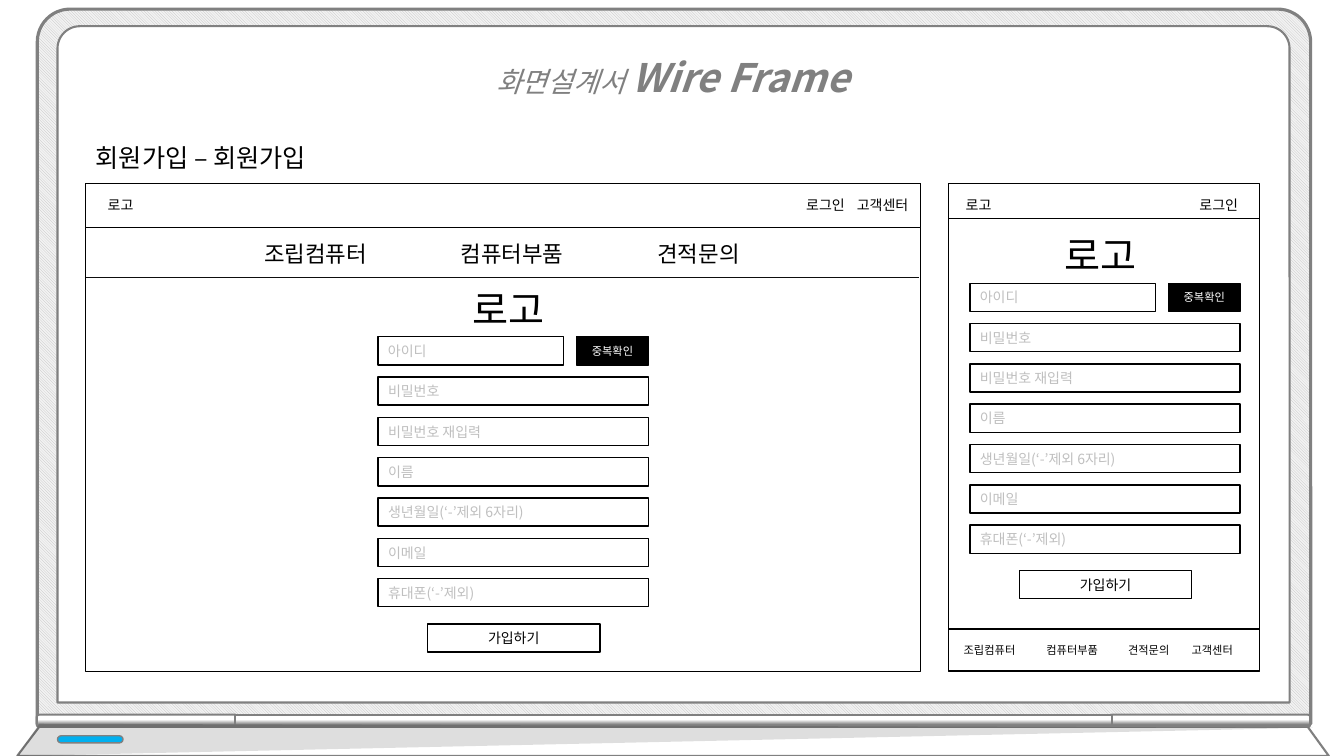
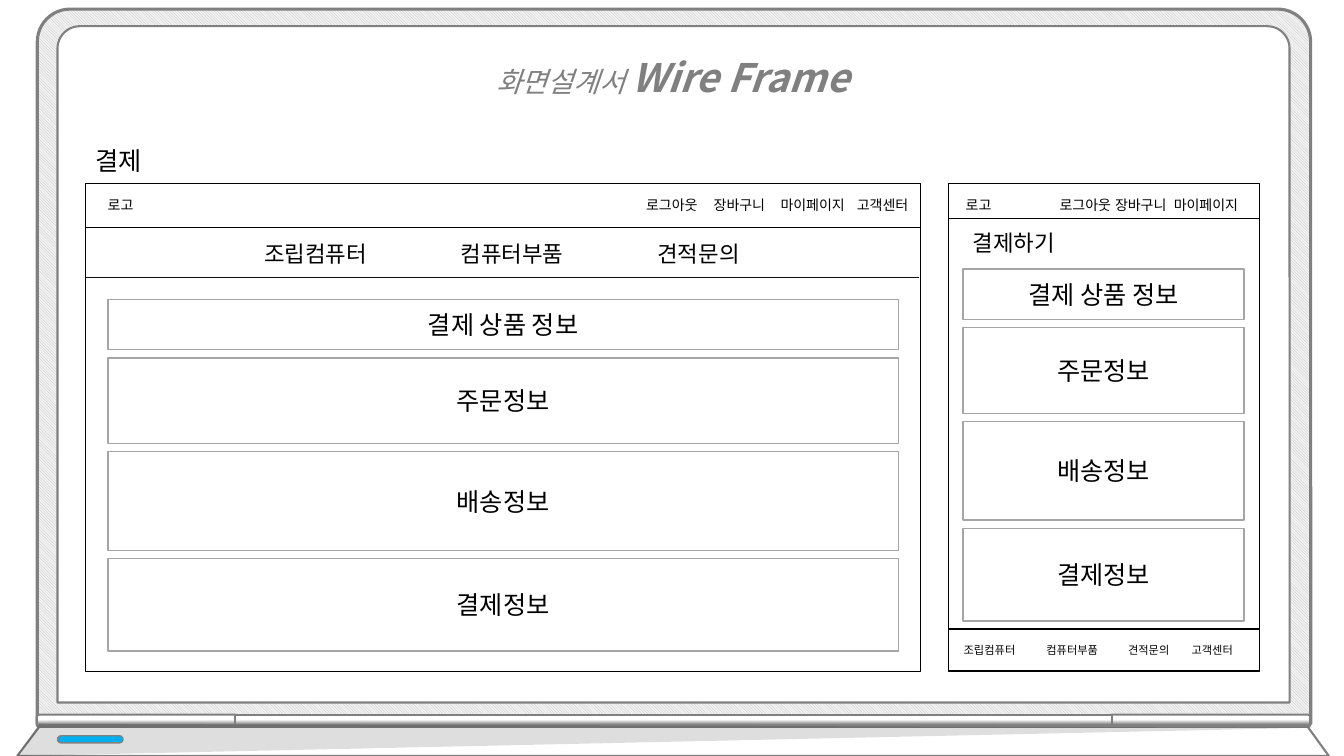
import pptx
import pptx.util
import pptx.dml.color
import pptx.enum.dml
import pptx.enum.shapes
import pptx.enum.text
import pptx.oxml.ns
from dataclasses import dataclass
from lxml import etree

Inches = pptx.util.Inches
SHAPE = pptx.enum.shapes.MSO_SHAPE
ALIGN = pptx.enum.text.PP_ALIGN
ANCHOR = pptx.enum.text.MSO_ANCHOR
AUTO_SIZE = pptx.enum.text.MSO_AUTO_SIZE
qn = pptx.oxml.ns.qn


@dataclass(frozen=True)
class Theme:
    font: str = "Noto Sans CJK KR"
    black: str = "000000"
    white: str = "FFFFFF"
    rule: str = "0D0D0D"
    frame: str = "808080"
    hint: str = "BFBFBF"
    bezel: str = "F2F2F2"
    section: str = "A5A5A5"
    power: str = "00B0F0"
    tiny: int = 8
    small: int = 10
    menu: int = 16
    heading: int = 18
    subtitle: int = 20
    display: int = 28


THEME = Theme()
MENU = ["조립컴퓨터", "컴퓨터부품", "견적문의"]
FIELDS = ["아이디", "비밀번호", "비밀번호 재입력", "이름",
          "생년월일(‘-’제외 6자리)", "이메일", "휴대폰(‘-’제외)"]
SECTIONS = [("결제 상품 정보", 0.5), ("주문정보", 0.85),
            ("배송정보", 0.98), ("결제정보", 0.92)]
DESKTOP_LEFT, DESKTOP_WIDTH = 0.85, 8.28
MOBILE_LEFT, MOBILE_WIDTH = 9.41, 3.08
SCREEN_TOP, SCREEN_HEIGHT = 1.82, 4.84


# Basic elements
def rgb(color):
    return pptx.dml.color.RGBColor.from_string(color)


def set_font(font, size, color):
    font.size = pptx.util.Pt(size)
    font.color.rgb = rgb(color)
    font.name = THEME.font
    etree.SubElement(font._element, qn("a:ea"), typeface=THEME.font)


def write(frame, text, size, color=THEME.black, align=ALIGN.LEFT,
          anchor=ANCHOR.MIDDLE):
    frame.word_wrap = True
    frame.vertical_anchor = anchor
    paragraph = frame.paragraphs[0]
    paragraph.text = text
    paragraph.alignment = align
    set_font(paragraph.font, size, color)


def outline(shape, color, width):
    shape.shadow.inherit = False
    shape.line.color.rgb = rgb(color)
    shape.line.width = pptx.util.Pt(width)


def solid(shape, color):
    shape.fill.solid()
    shape.fill.fore_color.rgb = rgb(color)


def add_shape(shapes, kind, at, fill=THEME.white, line=THEME.black, width=1,
              adjust=()):
    shape = shapes.add_shape(kind, *map(Inches, at))
    solid(shape, fill)
    outline(shape, line, width)
    for index, value in enumerate(adjust):
        shape.adjustments[index] = value
    return shape


def add_box(slide, at, text="", size=THEME.small, color=THEME.black,
            align=ALIGN.CENTER, **look):
    box = add_shape(slide.shapes, SHAPE.RECTANGLE, at, **look)
    if text:
        write(box.text_frame, text, size, color, align)


def add_label(slide, at, text, size, anchor=ANCHOR.TOP):
    label = slide.shapes.add_textbox(*map(Inches, at))
    write(label.text_frame, text, size, anchor=anchor)


def add_tabbed(slide, at, items, stops, kind, size):
    """Set each item at its own tab stop; stops are slide positions."""
    row = slide.shapes.add_textbox(*map(Inches, at))
    frame = row.text_frame
    frame.margin_right = 0
    tabs = etree.SubElement(frame.paragraphs[0]._p.get_or_add_pPr(),
                            qn("a:tabLst"))
    for stop in stops:
        offset = Inches(stop - at[0]) - frame.margin_left
        etree.SubElement(tabs, qn("a:tab"), pos=str(offset), algn=kind)
    write(frame, "".join("\t" + item for item in items), size,
          anchor=ANCHOR.TOP)


def add_rule(slide, left, right, y, color):
    rule = slide.shapes.add_connector(
        pptx.enum.shapes.MSO_CONNECTOR.STRAIGHT,
        Inches(left), Inches(y), Inches(right), Inches(y))
    rule.line.color.rgb = rgb(color)
    rule.line.width = pptx.util.Pt(0.5)
    etree.SubElement(rule.element.spPr, qn("a:effectLst"))


def add_outline(shapes, points):
    start, *rest = [tuple(map(Inches, point)) for point in points]
    builder = shapes.build_freeform(*start)
    builder.add_line_segments(rest, close=True)
    return builder.convert_to_shape()


# Laptop frame and heading shared by all slides
def add_laptop(slide):
    parts = slide.shapes.add_group_shape().shapes
    rounded = SHAPE.ROUND_2_SAME_RECTANGLE
    bezel = add_shape(parts, rounded, (0.37, 0.09, 12.63, 7.09),
                      line=THEME.frame, width=2.25, adjust=(0.046, 0))
    bezel.fill.patterned()
    bezel.fill.pattern = pptx.enum.dml.MSO_PATTERN.LIGHT_DOWNWARD_DIAGONAL
    bezel.fill.fore_color.rgb = rgb(THEME.hint)
    bezel.fill.back_color.rgb = rgb(THEME.bezel)
    add_shape(parts, rounded, (0.57, 0.26, 12.22, 6.71),
              line=THEME.frame, width=1.5, adjust=(0.033, 0))

    # Hinge strip: upright bars turned on their side
    thickness, middle = 0.12, 7.15
    for center, length, corners in [(1.35, 1.97, (0.19, 0)),
                                    (12.01, 1.97, (0, 0.19)),
                                    (6.68, 8.7, (0, 0))]:
        hinge = add_shape(parts, rounded,
                          (center - thickness / 2, middle - length / 2,
                           thickness, length),
                          line=THEME.frame, width=1.5, adjust=corners)
        hinge.rotation = 270
        hinge.fill.gradient()
        hinge.fill.gradient_angle = 0
        for stop, position, color in zip(hinge.fill.gradient_stops,
                                         (0.17, 0.59),
                                         (THEME.frame, THEME.white)):
            stop.position = position
            stop.color.rgb = rgb(color)

    # Base, its shade and the power light
    base = add_outline(parts, [(0.39, 7.21), (12.97, 7.21),
                               (13.18, 7.5), (0.17, 7.5)])
    solid(base, THEME.white)
    outline(base, THEME.frame, 1.5)
    shade = add_outline(parts, [(0.39, 7.18), (0.17, 7.5), (13.02, 7.22)])
    solid(shade, THEME.black)
    shade.shadow.inherit = False
    shade.line.fill.background()
    color = shade.element.spPr.find(qn("a:solidFill"))[0]
    etree.SubElement(color, qn("a:alpha"), val="13000")
    add_shape(parts, SHAPE.ROUNDED_RECTANGLE, (0.57, 7.3, 0.65, 0.07),
              fill=THEME.power, line=THEME.frame, adjust=(0.5,))


def add_banner(slide):
    banner = slide.shapes.add_textbox(*map(Inches, (3.67, 0.25, 6, 0.81)))
    write(banner.text_frame, "", THEME.subtitle, THEME.frame, ALIGN.CENTER,
          ANCHOR.TOP)
    paragraph = banner.text_frame.paragraphs[0]
    paragraph.line_spacing = 1.5
    paragraph.font.italic = True
    paragraph.add_run().text = "화면설계서 "
    name = paragraph.add_run()
    name.text = "Wire Frame"
    name.font.size = pptx.util.Pt(THEME.display)
    name.font.bold = True


def new_slide(deck, title_text, title_top):
    slide = deck.slides.add_slide(deck.slide_layouts[5])
    add_laptop(slide)
    add_banner(slide)
    title = slide.shapes.title
    title.left, title.top, title.width, title.height = map(
        Inches, (DESKTOP_LEFT, title_top, DESKTOP_WIDTH, 0.4))
    write(title.text_frame, title_text, THEME.heading)
    title.text_frame.auto_size = AUTO_SIZE.NONE
    slide.shapes.element.append(title.element)  # in front of the laptop
    return slide


# Desktop and mobile screens
def add_desktop(slide, links, link_stops):
    for height in (SCREEN_HEIGHT, 0.44):
        add_box(slide, (DESKTOP_LEFT, SCREEN_TOP, DESKTOP_WIDTH, height))
    add_label(slide, (0.97, 1.9, 2.41, 0.27), "로고", THEME.small)
    add_tabbed(slide, (6.01, 1.9, 3.1, 0.27), links, link_stops, "r",
               THEME.small)
    add_tabbed(slide, (DESKTOP_LEFT, 2.33, DESKTOP_WIDTH, 0.37), MENU,
               (3.13, 5.08, 6.93), "ctr", THEME.menu)
    add_rule(slide, DESKTOP_LEFT, 9.11, 2.75, THEME.rule)


def add_mobile(slide, links, link_stops):
    add_box(slide, (MOBILE_LEFT, SCREEN_TOP, MOBILE_WIDTH, SCREEN_HEIGHT))
    add_label(slide, (9.48, 1.9, 0.6, 0.27), "로고", THEME.small)
    add_tabbed(slide, (10.07, 1.9, 2.31, 0.27), links, link_stops, "r",
               THEME.small)
    add_rule(slide, MOBILE_LEFT, MOBILE_LEFT + MOBILE_WIDTH, 2.17,
             THEME.black)
    add_box(slide, (MOBILE_LEFT, 6.24, MOBILE_WIDTH, 0.41))
    for left, item in zip((9.46, 10.28, 11.09, 11.72), MENU + ["고객센터"]):
        add_label(slide, (left, 6.33, 0.8, 0.24), item, THEME.tiny)


# Screen contents
def add_signup_form(slide, left, top):
    height, step = 0.28, 0.4
    add_label(slide, (left + 0.84, top - 0.56, 1.01, 0.57), "로고",
              THEME.display)
    for row, hint in enumerate(FIELDS):
        width = 2.68 if row else 1.84  # the first leaves room for a button
        add_box(slide, (left, top + row * step, width, height), hint,
                color=THEME.hint, align=ALIGN.LEFT)
    add_box(slide, (left + 1.97, top, 0.71, height), "중복확인", THEME.tiny,
            THEME.white, fill=THEME.black)
    add_box(slide, (left + 0.49, top + 2.85, 1.71, height), "가입하기")


def add_payment_sections(slide, left, top, width):
    gap = 0.08
    for name, height in SECTIONS:
        add_box(slide, (left, top, width, height), name, THEME.heading,
                line=THEME.section)
        top += height + gap


# Slides
def add_signup_slide(deck):
    slide = new_slide(deck, "회원가입 – 회원가입", 1.36)
    add_desktop(slide, ["로그인", "고객센터"], (8.38, 9.01))
    add_signup_form(slide, 3.75, 3.34)
    add_mobile(slide, ["로그인"], (12.28,))
    add_signup_form(slide, 9.62, 2.81)


def add_payment_slide(deck):
    slide = new_slide(deck, "결제", 1.39)
    add_desktop(slide, ["로그아웃", "장바구니", "마이페이지", "고객센터"],
                (6.92, 7.59, 8.38, 9.01))
    add_payment_sections(slide, 1.07, 2.97, 7.84)
    add_mobile(slide, ["로그아웃", "장바구니", "마이페이지"],
               (11.02, 11.57, 12.28))
    add_label(slide, (9.55, 2.19, 1.16, 0.44), "결제하기", THEME.menu,
              ANCHOR.MIDDLE)
    add_payment_sections(slide, 9.55, 2.67, 2.79)


def main():
    deck = pptx.Presentation()
    deck.slide_width, deck.slide_height = Inches(13.33), Inches(7.5)
    add_signup_slide(deck)
    add_payment_slide(deck)
    deck.save("out.pptx")


if __name__ == "__main__":
    main()
